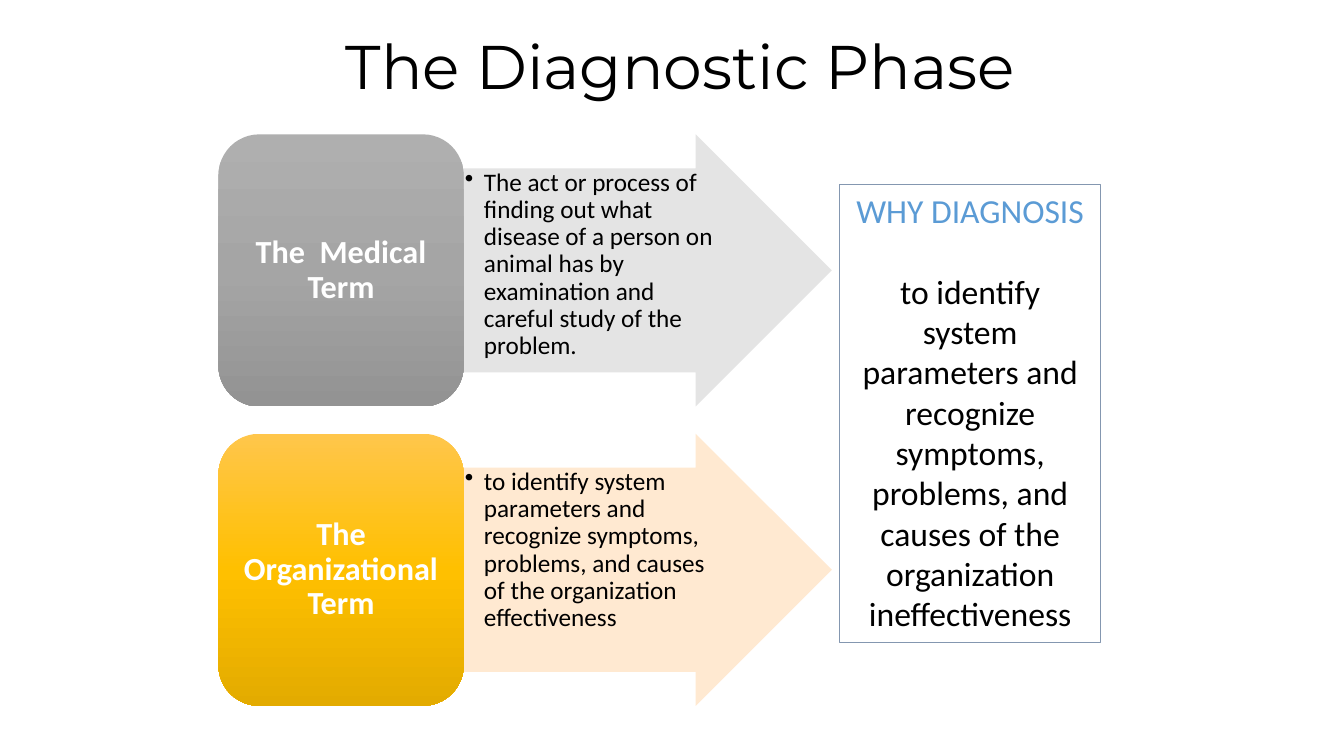
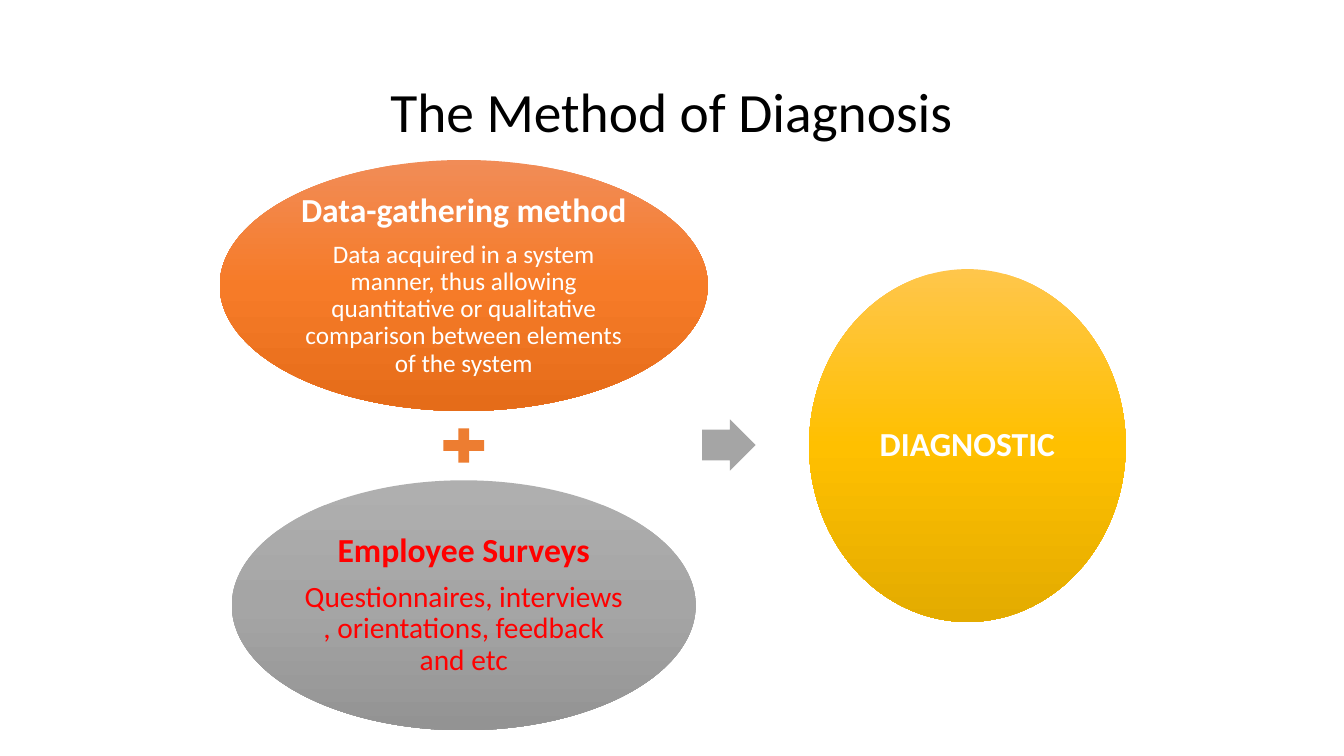
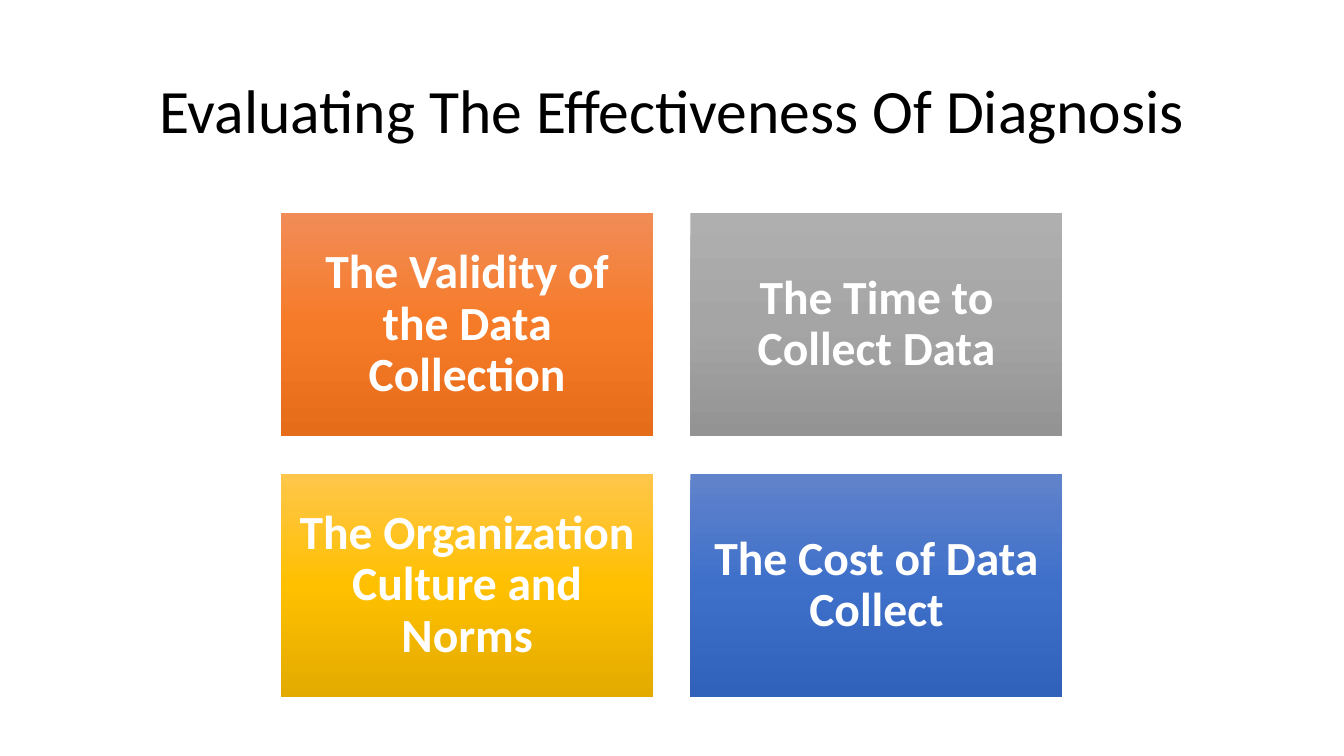
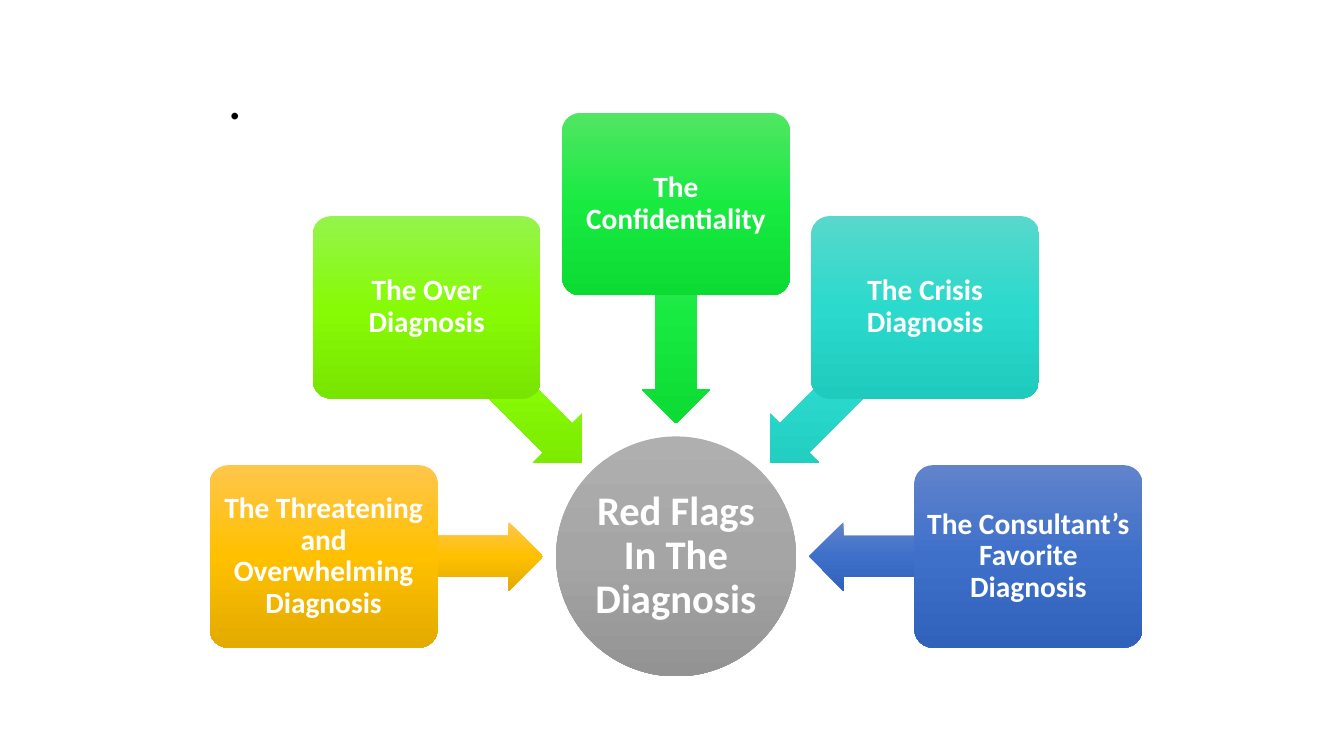
import copy
import math

from pptx import Presentation
from pptx import util as u
from pptx.dml.color import RGBColor
from pptx.enum import shapes, text
from pptx.oxml.ns import qn
from lxml import etree

KIND = shapes.MSO_SHAPE
ALIGN = text.PP_ALIGN
ANCHOR = text.MSO_ANCHOR
hue = RGBColor.from_string

# Three-stop gradients, top to bottom
ORANGE = ("F18C57", "F67B28", "E56C19")
GREY = ("AFAFAF", "A5A5A5", "939393")
GOLD = ("FFC64B", "FFC000", "E3AB00")
BLUE = ("6183CB", "3E70CA", "3062BB")
LIME = ("94F44C", "87FB06", "78E500")
GREEN = ("51E663", "19EA42", "0CDB34")
TEAL = ("58D8CC", "2BDACC", "1ECBBD")

deck = Presentation()
deck.slide_width, deck.slide_height = u.Inches(13.33), u.Inches(7.5)
UNIT = deck.slide_height / 75  # the grid has 75 rows and square cells


def write(frame, wording, size=24, color="FFFFFF", bold=False, align=ALIGN.CENTER,
          spacing=0.9, after=0, font="Calibri"):
    """Fill the first paragraph of the frame, or add one after it."""
    para = frame.add_paragraph() if frame.text else frame.paragraphs[0]
    para.alignment, para.line_spacing, para.space_after = align, spacing, u.Pt(after)
    run = para.add_run()
    run.text = wording
    run.font.name, run.font.size, run.font.bold = font, u.Pt(size), bold
    run.font.color.rgb = hue(color)
    return para


def draw(slide, kind, box, fill=None, line=None, adjust=(), turn=0, margins=(1, 0.5, 1, 0.5)):
    """Add a shape at box (left, top, width, height in grid units); a tuple fill is a gradient."""
    shape = slide.shapes.add_shape(kind, *(round(n * UNIT) for n in box))
    shape.shadow.inherit = False
    shape.rotation = turn
    for i, share in enumerate(adjust):
        shape.adjustments[i] = share
    if isinstance(fill, tuple):
        shape.fill.gradient()
        shape.fill.gradient_angle = 270
        gradient = shape._element.spPr.find(qn("a:gradFill"))
        gradient.set("rotWithShape", "0")
        stop_list = gradient.find(qn("a:gsLst"))
        stop_list.append(copy.deepcopy(stop_list[0]))
        for stop, color, position in zip(shape.fill.gradient_stops, fill, (0, 0.5, 1)):
            stop.color.rgb, stop.position = hue(color), position
    elif fill:
        shape.fill.solid()
        shape.fill.fore_color.rgb = hue(fill)
    else:
        shape.fill.background()
    if line:
        shape.line.color.rgb, shape.line.width = hue(line), u.Pt(0.75)
    else:
        shape.line.fill.background()
    frame = shape.text_frame
    frame.word_wrap = True
    frame.margin_left, frame.margin_top, frame.margin_right, frame.margin_bottom = (
        round(n * UNIT) for n in margins)
    return frame


# Slides and their titles
slides = []
for wording, box, style in (
    ("The Diagnostic Phase", (22.5, 3, 90, 7.8), dict(size=44, font="Montserrat")),
    ("The Method of Diagnosis", (21.6, 7.7, 90, 7.3), dict(size=39.6)),
    ("Evaluating The Effectiveness Of Diagnosis", (9.17, 4, 115, 14.5), dict(size=44)),
    (".", (21.6, 7.7, 90, 4.8), dict(size=39.6, align=ALIGN.LEFT)),
):
    slide = deck.slides.add_slide(deck.slide_layouts[5])
    title = slide.shapes.title
    title.left, title.top, title.width, title.height = (round(n * UNIT) for n in box)
    title.text_frame.auto_size = text.MSO_AUTO_SIZE.NONE
    title.text_frame.vertical_anchor = ANCHOR.MIDDLE
    write(title.text_frame, wording, color="000000", **style)
    slides.append(slide)
phase, method, evaluation, red_flags = slides

# The Diagnostic Phase: two terms with their meanings, and the reason
terms = (
    ("The  Medical Term", GREY, "E4E4E4",
     "The act or process of finding out what disease of a person on animal has by "
     "examination and careful study of the problem."),
    ("The Organizational Term", GOLD, "FFE9D1",
     "to identify system parameters and recognize symptoms, problems, and causes of the "
     "organization effectiveness"),
)
for row, (term, gradient, tint, meaning) in enumerate(terms):
    top = 13.33 + 29.7 * row
    arrow = draw(phase, KIND.RIGHT_ARROW, (46, top, 36.5, 27), tint, adjust=(0.75, 0.5),
                 margins=(0.1, 0.1, 0.1, 0.1))
    arrow.vertical_anchor = ANCHOR.TOP
    para = write(arrow, meaning, size=18, color="000000", align=ALIGN.LEFT)
    props = para._p.get_or_add_pPr()
    props.set("marL", str(u.Inches(0.19)))
    props.set("indent", str(-u.Inches(0.19)))
    etree.SubElement(props, qn("a:buChar"), char="•")
    label = draw(phase, KIND.ROUNDED_RECTANGLE, (21.67, top, 24.33, 27), gradient)
    write(label, term, size=23, bold=True)

reason = draw(phase, KIND.RECTANGLE, (83.3, 18.33, 25.85, 45.4), line="8497B0")
reason.vertical_anchor = ANCHOR.TOP
write(reason, "WHY DIAGNOSIS", color="5B9BD5", spacing=1, after=29)
write(reason, "to identify system parameters and recognize symptoms, problems, and causes of "
      "the organization ineffectiveness", color="000000", spacing=1)

# The Method of Diagnosis: two sources add up to the diagnostic
sources = (
    ((21.8, 15.87, 48.4, 24.9), ORANGE, "FFFFFF", "Data-gathering method", 18,
     "Data acquired in a system manner, thus allowing quantitative or qualitative "
     "comparison between elements of the system"),
    ((23, 47.65, 46, 24.8), GREY, "FF0000", "Employee Surveys", 21,
     "Questionnaires, interviews , orientations, feedback and etc"),
)
for box, gradient, color, heading, size, detail in sources:
    source = draw(method, KIND.OVAL, box, gradient, margins=(0.3,) * 4)
    write(source, heading, color=color, bold=True, after=8.4)
    write(source, detail, size=size, color=color)
draw(method, KIND.MATH_PLUS, (43.25, 41.9, 5.5, 4.6), "ED7D31")
draw(method, KIND.RIGHT_ARROW, (69.65, 41.6, 5.3, 5.1), "A5A5A5", adjust=(0.6, 0.5))
outcome = draw(method, KIND.OVAL, (80.25, 26.7, 31.4, 35), GOLD, margins=(0.3,) * 4)
write(outcome, "DIAGNOSTIC", bold=True)

# Evaluating The Effectiveness Of Diagnosis: criteria in two columns
criteria = (
    ("The Validity of the Data Collection", ORANGE),
    ("The Time to Collect Data", GREY),
    ("The Organization Culture and Norms", GOLD),
    ("The Cost of Data Collect", BLUE),
)
for i, (criterion, gradient) in enumerate(criteria):
    row, column = divmod(i, 2)
    card = draw(evaluation, KIND.RECTANGLE,
                (27.88 + 40.6 * column, 21.15 + 25.87 * row, 36.9, 22.15),
                gradient, margins=(1.4,) * 4)
    write(card, criterion, size=34, bold=True)

# Red flags: spokes at every 45 degrees over the hub
hub_x, hub_y, hub_size = 67.05, 55.2, 23.8
hub = draw(red_flags, KIND.OVAL, (hub_x - hub_size / 2, hub_y - hub_size / 2, hub_size, hub_size),
           GREY, margins=(0.2,) * 4)
write(hub, "Red Flags In The Diagnosis", size=29, bold=True)
flags = (
    ("The Threatening and Overwhelming Diagnosis", GOLD),
    ("The Over Diagnosis", LIME),
    ("The Confidentiality", GREEN),
    ("The Crisis Diagnosis", TEAL),
    ("The Consultant’s Favorite Diagnosis", BLUE),
)
for i, (flag, gradient) in enumerate(flags):
    angle = 180 + 45 * i
    across, down = math.cos(math.radians(angle)), math.sin(math.radians(angle))
    for kind, radius, width, height, adjust, turn in (
        (KIND.LEFT_ARROW, 24.1, 21.8, 6.8, (0.6, 0.5), angle % 360),
        (KIND.ROUNDED_RECTANGLE, 34.95, 22.6, 18.1, (0.1,), 0),
    ):
        box = (hub_x + radius * across - width / 2, hub_y + radius * down - height / 2,
               width, height)
        spoke = draw(red_flags, kind, box, gradient, adjust=adjust, turn=turn,
                     margins=(0.4,) * 4)
    write(spoke, flag, size=21, bold=True)

deck.save("out.pptx")
